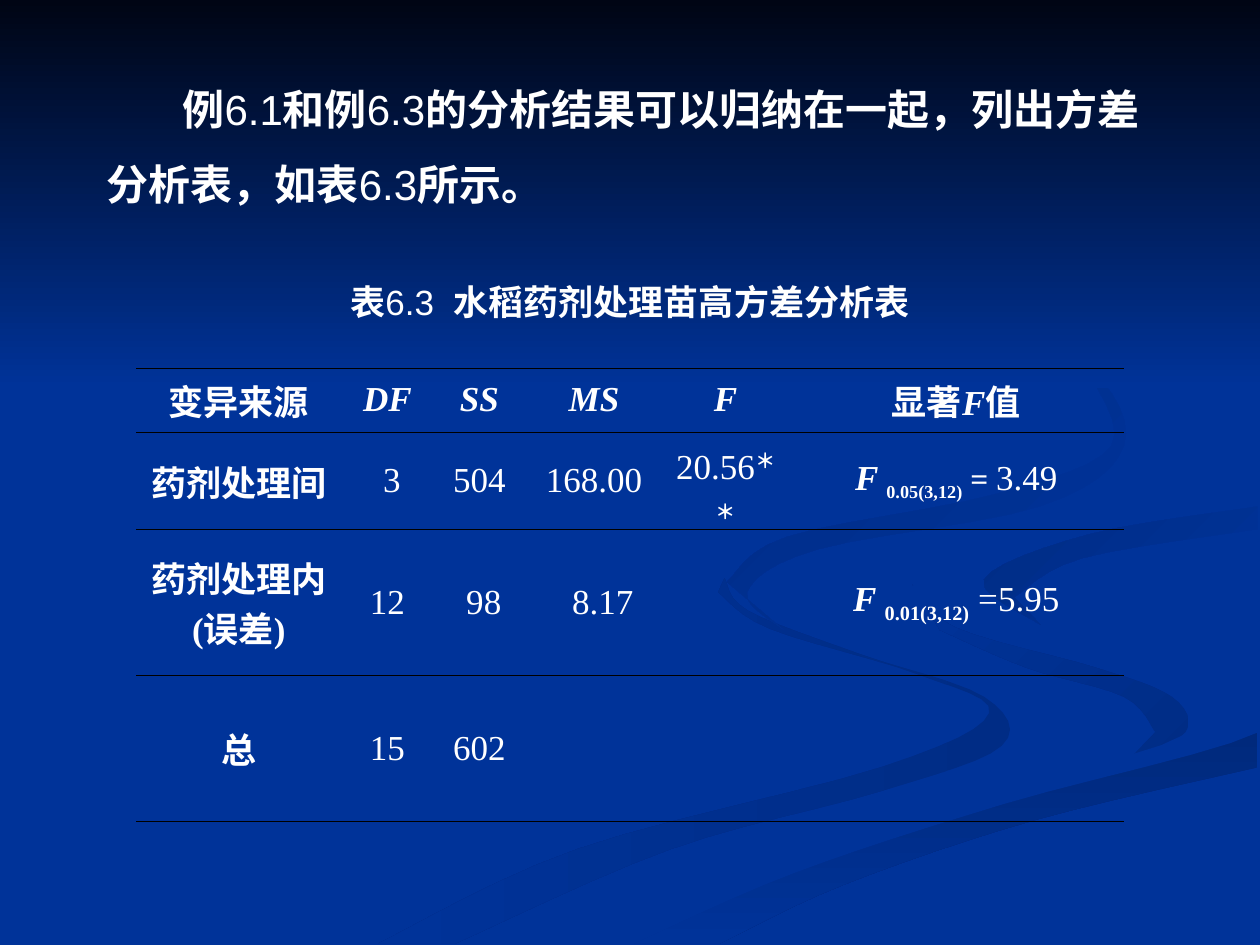
from dataclasses import dataclass, field

from lxml.etree import SubElement
from pptx import Presentation
from pptx.dml.color import RGBColor
from pptx.enum.shapes import MSO_SHAPE
from pptx.enum.text import MSO_ANCHOR, MSO_AUTO_SIZE, PP_ALIGN
from pptx.oxml.ns import qn
from pptx.util import Inches, Pt


@dataclass(frozen=True)
class Theme:
    blue: str = "003399"
    night: str = "000514"
    shade: str = "002C85"
    deep_shade: str = "00297C"
    white: str = "FFFFFF"
    rule: str = "000000"
    sans: str = "Arial"
    serif: str = "Times New Roman"
    chinese: str = "Noto Sans CJK SC"
    lead: float = 24
    body: float = 20
    small: float = 18
    hairline: float = 0.45


THEME = Theme()


@dataclass(frozen=True)
class Span:
    text: str
    font: dict = field(default_factory=dict)
    raw: dict = field(default_factory=dict)


@dataclass(frozen=True)
class Ribbon:
    start: str
    end: str
    angle: int
    near_side: list
    far_side: list


@dataclass(frozen=True)
class Entry:
    spans: list
    shift: float = 0


BOLD = {"bold": True}
VARIABLE = {"bold": True, "italic": True}
SUBSCRIPT = {"baseline": "-25000"}
SMALL = {"bold": True, "size": Pt(THEME.small)}


def bold(text: str) -> Entry:
    return Entry([Span(text, BOLD)])


def variable(text: str) -> Entry:
    return Entry([Span(text, VARIABLE)])


def number(text: str, shift: float = 0) -> Entry:
    return Entry([Span(text)], shift)


RIBBONS = [
    Ribbon(THEME.shade, THEME.blue, 180,
           [(5.75, 4.59), (5.94, 4.85), (6.82, 5.19), (7.81, 5.53), (7.95, 5.92), (6.99, 6.28), (5.32, 6.74), (3.61, 7.49)],
           [(3, 7.49), (4.58, 6.74), (6.99, 6.09), (7.85, 5.66), (7.28, 5.35), (6.11, 4.99), (5.7, 4.7)]),
    Ribbon(THEME.shade, THEME.blue, 225,
           [(7.24, 4.64), (7.58, 4.98), (8.7, 5.3), (9.3, 5.53), (9.41, 5.81), (8.94, 6.05)],
           [(9.17, 5.81), (8.92, 5.53), (8.15, 5.3), (7.46, 5)]),
    Ribbon(THEME.deep_shade, THEME.blue, 90,
           [(5.03, 7.49), (6.3, 6.93), (7.97, 6.38), (9.98, 5.81)],
           [(9.98, 6.09), (8.21, 6.51), (6.7, 7.02), (5.71, 7.49)]),
    Ribbon(THEME.blue, THEME.blue, 0,
           [(9.99, 3.87), (8.3, 4.15), (7.25, 4.64), (7.75, 5.03), (9.05, 5.4), (9.4, 5.83), (7.43, 6.43), (4.77, 7.49)],
           [(5.03, 7.49), (6.3, 6.93), (7.97, 6.38), (9.99, 5.81), (9.99, 5.38), (8.32, 4.98), (7.82, 4.6), (8.5, 4.27), (9.99, 4.02)]),
    Ribbon(THEME.blue, THEME.shade, 225,
           [(9.98, 4.02), (8.65, 4.24), (7.81, 4.6), (8.26, 4.96)],
           [(8.05, 4.74), (8.59, 4.43), (9.98, 4.2)]),
    Ribbon(THEME.blue, THEME.shade, 225,
           [(7.62, 2.33), (8.64, 2.91), (8.92, 3.54), (8.25, 4.02), (6.49, 4.36), (5.93, 4.7), (6.22, 5)],
           [(5.77, 4.62), (6.25, 4.26), (7.91, 3.92), (8.82, 3.54), (8.62, 2.92)]),
]

COLUMNS = [1.63, 0.73, 0.73, 1.09, 1, 2.66]
ROWS = [0.51, 0.77, 1.16, 1.16]
RULED_TOP, RULED_BOTTOM = {0, 1, 3}, {0, 2, 3}
VARIANCE = [
    [bold("变异来源"), *map(variable, ("DF", "SS", "MS", "F")),
     Entry([Span("显著", BOLD), Span("F", VARIABLE), Span("值", BOLD)])],
    [bold("药剂处理间"), number("3", 0.07), number("504"), number("168.00"),
     Entry([Span("20.56"), Span("＊＊", BOLD, {"baseline": "30000"})]),
     Entry([Span("F", VARIABLE), Span(" ", SMALL), Span("0.05(3,12)", SMALL, SUBSCRIPT),
            Span(" = ", SMALL), Span("3.49")])],
    [bold("药剂处理内(误差)"), number("12"), number("98", 0.07), number("8.17", 0.14), None,
     Entry([Span("F ", VARIABLE), Span("0.01(3,12)", BOLD, SUBSCRIPT), Span(" =5.95")])],
    [bold("总"), number("15"), number("602"), None, None, None],
]


def paint(shape, start: str, end: str, angle: int) -> None:
    shape.shadow.inherit = False
    shape.line.fill.background()
    if start == end:
        shape.fill.solid()
        shape.fill.fore_color.rgb = RGBColor.from_string(start)
        return
    shape.fill.gradient()
    shape.fill.gradient_angle = 360 - angle
    for stop, colour in zip(shape.fill.gradient_stops, (start, end)):
        stop.color.rgb = RGBColor.from_string(colour)


def smooth(knots: list, steps: int = 6) -> list:
    padded = [knots[0], *knots, knots[-1]]
    curve = []
    for quad in zip(padded, padded[1:], padded[2:], padded[3:]):
        for t in (step / steps for step in range(steps)):
            curve.append(tuple(
                b + t * (c - a + t * (2 * a - 5 * b + 4 * c - d + t * (3 * b - a - 3 * c + d))) / 2
                for a, b, c, d in zip(*quad)))
    return [*curve, knots[-1]]


def draw_ribbon(slide, ribbon: Ribbon) -> None:
    outline = smooth(ribbon.near_side) + smooth(ribbon.far_side)
    first, *rest = [(Inches(x), Inches(y)) for x, y in outline]
    builder = slide.shapes.build_freeform(*first)
    builder.add_line_segments(rest, close=True)
    paint(builder.convert_to_shape(), ribbon.start, ribbon.end, ribbon.angle)


def write(paragraph, spans: list, latin: str, size: float) -> None:
    for span in spans:
        run = paragraph.add_run()
        run.text = span.text
        run.font.color.rgb = RGBColor.from_string(THEME.white)
        formats = {"name": latin, "size": Pt(size), "bold": False, **span.font}
        for name, value in formats.items():
            setattr(run.font, name, value)
        properties = run.font._element
        SubElement(properties, qn("a:ea")).set("typeface", THEME.chinese)
        for name, value in span.raw.items():
            properties.set(name, value)


def add_text(slide, place: tuple, spans: list, size: float):
    frame = slide.shapes.add_textbox(*map(Inches, place)).text_frame
    frame.word_wrap = True
    frame.auto_size = MSO_AUTO_SIZE.SHAPE_TO_FIT_TEXT
    frame.vertical_anchor = MSO_ANCHOR.MIDDLE
    write(frame.paragraphs[0], spans, THEME.sans, size)
    return frame.paragraphs[0]


def rule(cell, side: str) -> None:
    line = SubElement(cell._tc.get_or_add_tcPr(), qn(side), w=str(Pt(THEME.hairline)))
    SubElement(SubElement(line, qn("a:solidFill")), qn("a:srgbClr")).set("val", THEME.rule)


def add_variance_table(slide) -> None:
    frame = slide.shapes.add_table(len(ROWS), len(COLUMNS), Inches(1.08), Inches(2.92),
                                   Inches(sum(COLUMNS)), Inches(sum(ROWS)))
    table = frame.table
    table.horz_banding = table.first_row = False
    table._tbl.tblPr.find(qn("a:tableStyleId")).text = "{2D5ABB26-0587-4C30-8999-92F81FD0307C}"
    for column, width in zip(table.columns, COLUMNS):
        column.width = Inches(width)
    for r, (height, entries) in enumerate(zip(ROWS, VARIANCE)):
        table.rows[r].height = Inches(height)
        for c, entry in enumerate(entries):
            cell = table.cell(r, c)
            cell.vertical_anchor = MSO_ANCHOR.MIDDLE
            for side, ruled in (("a:lnT", RULED_TOP), ("a:lnB", RULED_BOTTOM)):
                if r in ruled:
                    rule(cell, side)
            cell.fill.background()
            if entry:
                paragraph = cell.text_frame.paragraphs[0]
                paragraph.alignment = PP_ALIGN.CENTER
                cell.margin_left = Inches(0.1 + entry.shift)
                write(paragraph, entry.spans, THEME.serif, THEME.body)


def main() -> None:
    deck = Presentation()
    deck.slide_width, deck.slide_height = Inches(10), Inches(7.5)
    slide = deck.slides.add_slide(deck.slide_layouts[6])
    slide.background.fill.solid()
    slide.background.fill.fore_color.rgb = RGBColor.from_string(THEME.blue)
    for ribbon in RIBBONS:
        draw_ribbon(slide, ribbon)
    sky = slide.shapes.add_shape(MSO_SHAPE.RECTANGLE, 0, 0, Inches(10), Inches(3.08))
    paint(sky, THEME.night, THEME.blue, 90)

    intro = add_text(slide, (0.75, 0.41, 8.58, 1.3), [
        Span("例", BOLD), Span("6.1"), Span("和例", BOLD), Span("6.3"),
        Span("的分析结果可以归纳在一起，列出方差分析表，如表", BOLD), Span("6.3"), Span("所示。", BOLD)], THEME.lead)
    intro.line_spacing = 1.5
    intro._p.get_or_add_pPr().set("indent", str(Inches(0.6)))
    caption = add_text(slide, (0, 2.17, 10, 0.44), [
        Span("表", BOLD), Span("6.3"), Span(" ", raw={"spc": "550"}),
        Span("水稻药剂处理苗高方差分析表", BOLD)], THEME.body)
    caption.alignment = PP_ALIGN.CENTER
    add_variance_table(slide)
    deck.save("out.pptx")


if __name__ == "__main__":
    main()
